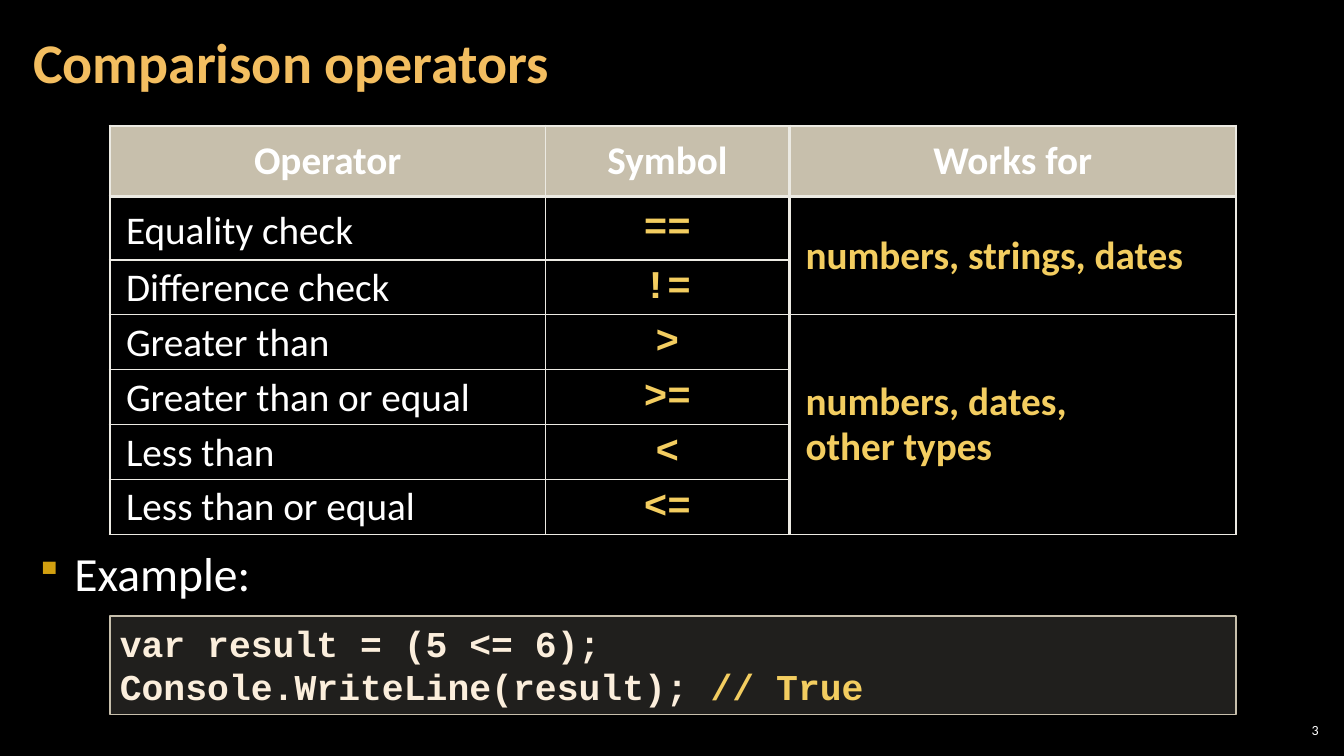
from lxml import etree
from pptx import Presentation
from pptx.dml.color import RGBColor
from pptx.enum.shapes import MSO_SHAPE
from pptx.enum.text import MSO_ANCHOR, MSO_AUTO_SIZE, PP_ALIGN
from pptx.oxml.ns import qn
from pptx.util import Inches, Pt

MIDDLE, TOP = MSO_ANCHOR.MIDDLE, MSO_ANCHOR.TOP
LEFT, CENTER, RIGHT = PP_ALIGN.LEFT, PP_ALIGN.CENTER, PP_ALIGN.RIGHT
GROW, RECTANGLE = MSO_AUTO_SIZE.SHAPE_TO_FIT_TEXT, MSO_SHAPE.RECTANGLE

WIDTH, HEIGHT = 13.33, 7.5
TITLE_ONLY = 5
SANS, MONO = "Calibri", "Courier New"
COLORS = {
    "background": "000000",
    "text": "FFFFFF",
    "title": "F3BE60",
    "accent": "F3CD60",
    "bullet": "D2A010",
    "rule": "ECEAE3",
    "header": "C7BFAC",
    "code": "FBEEDC",
    "code_fill": "D9D5C7",
}
THIN, THICK = 1, 2.25
HEADINGS = ["Operator", "Symbol", "Works for"]
OPERATORS = [
    ("Equality check", "=="),
    ("Difference check", "!="),
    ("Greater than", ">"),
    ("Greater than or equal", ">="),
    ("Less than", "<"),
    ("Less than or equal", "<="),
]
WORKS_FOR = [(1, 2, ["numbers, strings, dates"]), (3, 6, ["numbers, dates, ", "other types"])]
COLUMNS = [4.32, 2.42, 4.43]
ROWS = [0.7, 0.63] + [0.54] * 5


def rgb(name):
    return RGBColor.from_string(COLORS[name])


def inches(box):
    return [Inches(length) for length in box]


def add_run(paragraph, text, size, color, font=SANS, bold=False):
    run = paragraph.add_run()
    run.text = text
    run.font.size, run.font.name, run.font.bold = Pt(size), font, bold
    run.font.color.rgb = rgb(color)


def fill_solid(fill, color, alpha):
    fill.solid()
    fill.fore_color.rgb = rgb(color)
    srgb = fill._xPr.find(".//" + qn("a:srgbClr"))
    etree.SubElement(srgb, qn("a:alpha"), val=str(alpha * 1000))


def set_insets(target, horizontal, vertical):
    target.margin_left = target.margin_right = Inches(horizontal)
    target.margin_top = target.margin_bottom = Inches(vertical)


def add_title(slide, box):
    title = slide.shapes.title
    title.left, title.top, title.width, title.height = inches(box)
    frame = title.text_frame
    frame.word_wrap = True
    frame.vertical_anchor = MIDDLE
    set_insets(frame, 0.12, 0.04)
    heading = frame.paragraphs[0]
    heading.alignment, heading.line_spacing = LEFT, 0.9
    add_run(heading, "Comparison operators", 40, "title", bold=True)


def set_borders(cell, row, column):
    properties = cell._tc.get_or_add_tcPr()
    widths = {
        "a:lnL": THIN if column == 1 else THICK,
        "a:lnR": THIN if column == 0 else THICK,
        "a:lnT": THICK if row < 2 else THIN,
        "a:lnB": THICK if row == 0 else THIN,
    }
    for tag, width in widths.items():
        edge = etree.SubElement(properties, qn(tag), w=str(int(Pt(width))))
        solid = etree.SubElement(edge, qn("a:solidFill"))
        etree.SubElement(solid, qn("a:srgbClr"), val=COLORS["rule"])


def write_cell(cell, lines, alignment, color, font=SANS, bold=True, spacing=0.95):
    paragraph = cell.text_frame.paragraphs[0]
    paragraph.alignment, paragraph.line_spacing = alignment, spacing
    for index, line in enumerate(lines):
        if index:
            paragraph.add_line_break()
        add_run(paragraph, line, 28, color, font, bold)


def add_operator_table(slide, left, top):
    box = inches((left, top, sum(COLUMNS), sum(ROWS)))
    table = slide.shapes.add_table(len(ROWS), len(COLUMNS), *box).table
    table.first_row = table.horz_banding = False
    for column, width in zip(table.columns, COLUMNS):
        column.width = Inches(width)
    for row, height in zip(table.rows, ROWS):
        row.height = Inches(height)
    for row in range(len(ROWS)):
        for column in range(len(COLUMNS)):
            cell = table.cell(row, column)
            set_borders(cell, row, column)
            set_insets(cell, 0.16, 0.05)
            cell.vertical_anchor = MIDDLE
            if row == 0:
                fill_solid(cell.fill, "header", 50)
            else:
                cell.fill.background()
    for column, heading in enumerate(HEADINGS):
        write_cell(table.cell(0, column), [heading], CENTER, "text")
    for row, (operator, symbol) in enumerate(OPERATORS, 1):
        spacing = Pt(38) if row == 1 else 0.95
        write_cell(table.cell(row, 0), [operator], LEFT, "text", bold=False, spacing=spacing)
        write_cell(table.cell(row, 1), [symbol], CENTER, "accent", MONO)
    for first, last, types in WORKS_FOR:
        table.cell(first, 2).merge(table.cell(last, 2))
        write_cell(table.cell(first, 2), types, LEFT, "accent")


def add_example_label(slide, box):
    frame = slide.shapes.add_textbox(*inches(box)).text_frame
    frame.word_wrap = True
    label = frame.paragraphs[0]
    label.line_spacing, label.space_after = Pt(38), Pt(6)
    properties = label._p.get_or_add_pPr()
    indent = int(Inches(0.39))
    properties.set("marL", str(indent))
    properties.set("indent", str(-indent))
    bullet_color = etree.SubElement(properties, qn("a:buClr"))
    etree.SubElement(bullet_color, qn("a:srgbClr"), val=COLORS["bullet"])
    etree.SubElement(properties, qn("a:buSzPct"), val="80000")
    etree.SubElement(properties, qn("a:buChar"), char="▪")
    add_run(label, "Example:", 34, "text")


def add_code(slide, box):
    panel = slide.shapes.add_shape(RECTANGLE, *inches(box))
    panel.shadow.inherit = False
    fill_solid(panel.fill, "code_fill", 15)
    panel.line.color.rgb = rgb("header")
    panel.line.width = Pt(1)
    frame = panel.text_frame
    frame.word_wrap = True
    frame.auto_size = GROW
    frame.vertical_anchor = TOP
    declaration, output = frame.paragraphs[0], frame.add_paragraph()
    declaration.alignment = output.alignment = LEFT
    add_run(declaration, "var result = (5 <= 6);", 26, "code", MONO, True)
    add_run(output, "Console.WriteLine(result); ", 26, "code", MONO, True)
    add_run(output, "// True", 26, "accent", MONO, True)


def add_page_number(slide, box):
    frame = slide.shapes.add_textbox(*inches(box)).text_frame
    frame.word_wrap = True
    frame.vertical_anchor = MIDDLE
    set_insets(frame, 0.04, 0.04)
    number = frame.paragraphs[0]
    number.alignment = RIGHT
    add_run(number, "3", 10, "text")


def main():
    presentation = Presentation()
    presentation.slide_width, presentation.slide_height = inches((WIDTH, HEIGHT))
    slide = presentation.slides.add_slide(presentation.slide_layouts[TITLE_ONLY])
    slide.background.fill.solid()
    slide.background.fill.fore_color.rgb = rgb("background")
    margin = 1.09
    add_page_number(slide, (WIDTH - 0.68, HEIGHT - 0.36, 0.47, 0.21))
    add_operator_table(slide, margin, HEIGHT / 6)
    add_title(slide, (0.21, 0.04, 10.47, 1.21))
    add_code(slide, (margin, 6.11, sum(COLUMNS), 0.98))
    add_example_label(slide, (0.25, 5.39, 9.5, 0.75))
    presentation.save("out.pptx")


if __name__ == "__main__":
    main()
